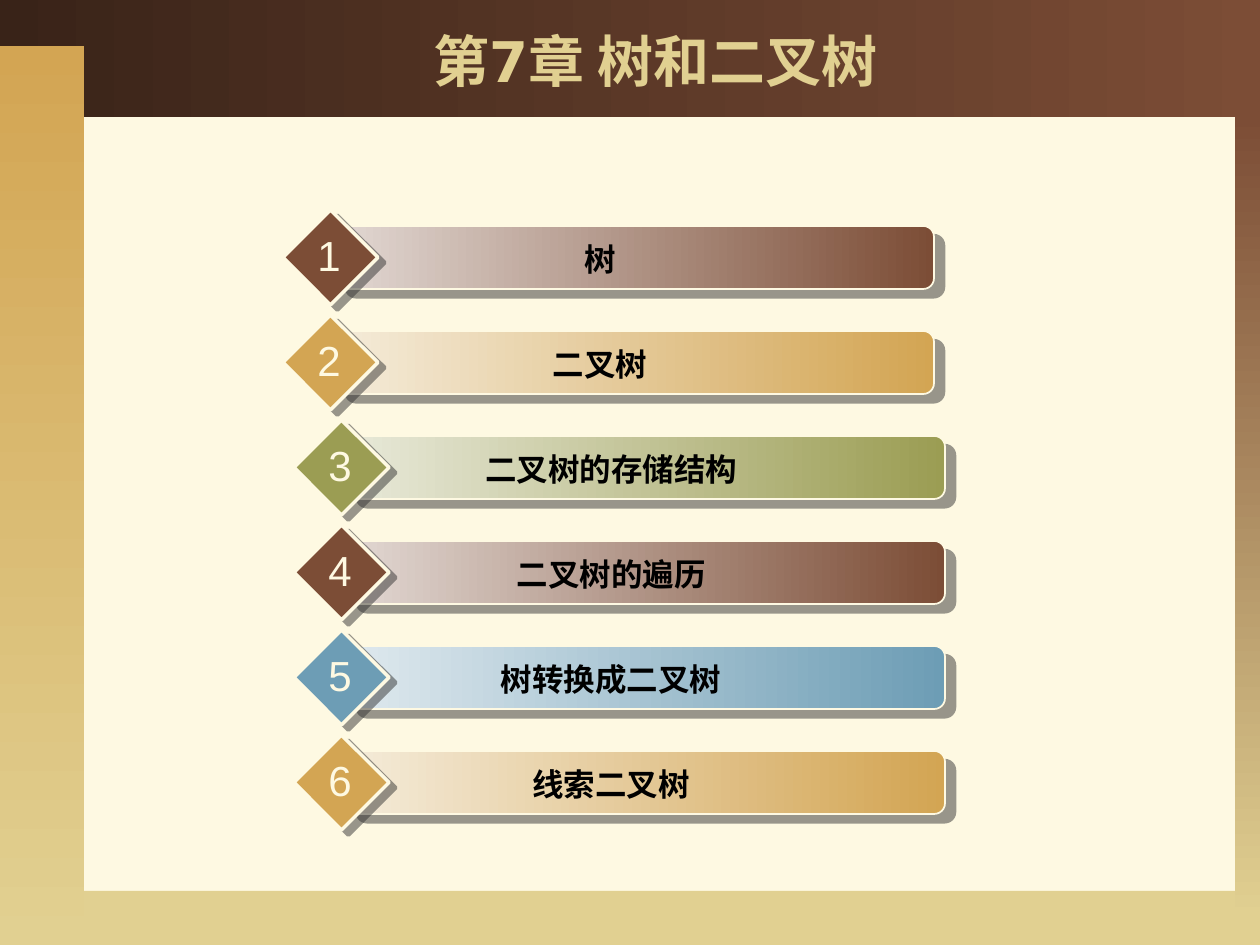
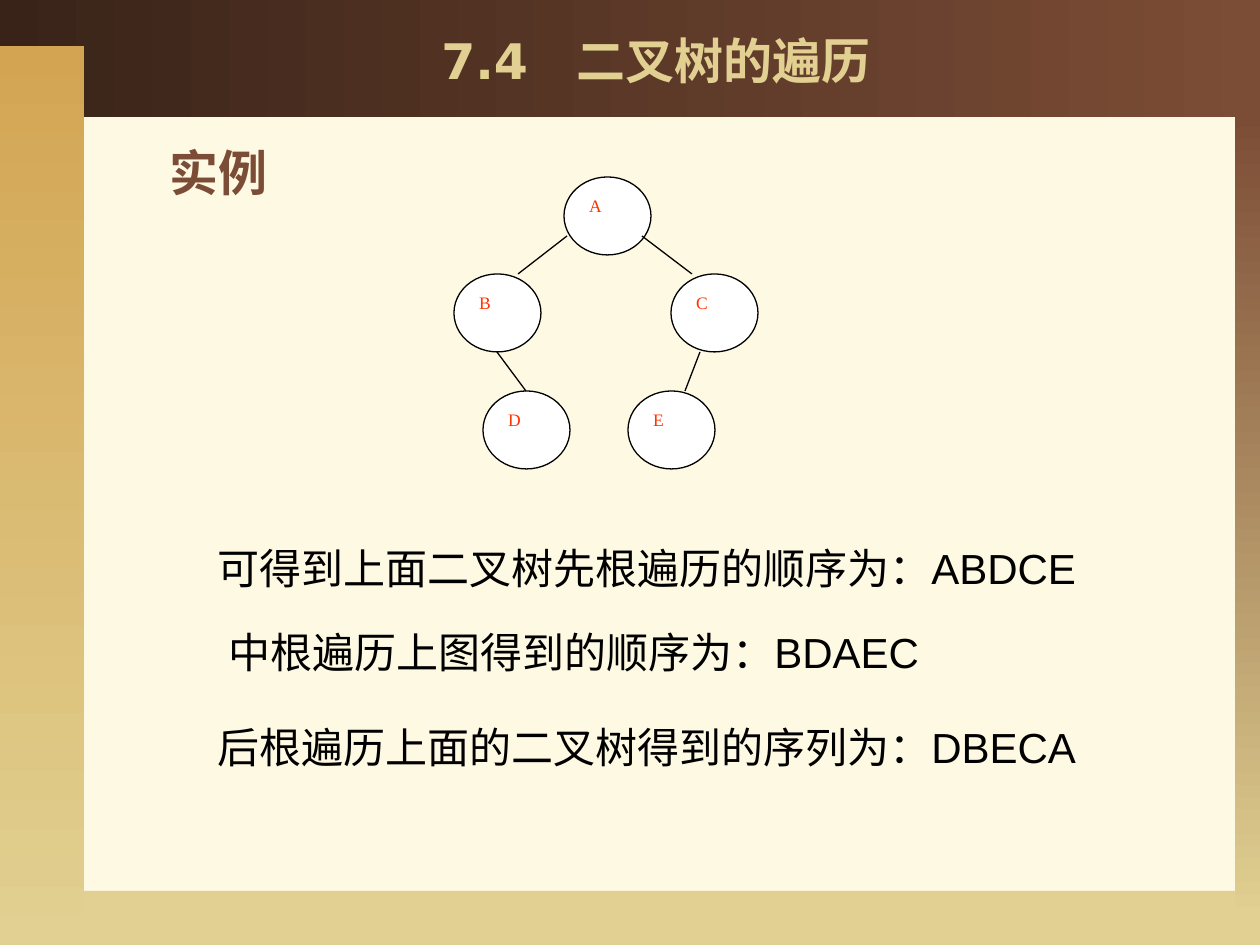
from dataclasses import dataclass
from typing import NamedTuple, Optional, Union

from lxml import etree
from pptx import Presentation
from pptx import util as u
from pptx.dml.color import RGBColor
from pptx.enum import lang, shapes, text
from pptx.oxml.ns import qn

PX = 914400 / 126
SLIDE_WIDTH, SLIDE_HEIGHT = 1260, 945

CREAM = RGBColor(0xFE, 0xF9, 0xE2)
SAND = RGBColor(0xE1, 0xD0, 0x91)
BROWN = RGBColor(0x7C, 0x4D, 0x36)
DARK_BROWN = RGBColor(0x39, 0x23, 0x18)
PALE_BROWN = RGBColor(0xE2, 0xD8, 0xD3)
GOLD = RGBColor(0xD3, 0xA5, 0x53)
PALE_GOLD = RGBColor(0xF4, 0xEB, 0xD9)
OLIVE = RGBColor(0x9B, 0x9D, 0x53)
PALE_OLIVE = RGBColor(0xE8, 0xE9, 0xD9)
BLUE = RGBColor(0x6D, 0x9D, 0xB5)
PALE_BLUE = RGBColor(0xDF, 0xE9, 0xEE)
RED = RGBColor(0xFF, 0x33, 0x00)
WHITE = RGBColor(0xFF, 0xFF, 0xFF)
BLACK = RGBColor(0, 0, 0)

CENTER = text.PP_ALIGN.CENTER
MIDDLE = text.MSO_ANCHOR.MIDDLE


class Box(NamedTuple):
    left: int
    top: int
    width: int
    height: int


class Gradient(NamedTuple):
    start: RGBColor
    end: RGBColor
    angle: int


class Outline(NamedTuple):
    color: RGBColor
    points: float


class Shadow(NamedTuple):
    points: float
    degrees: int


@dataclass(frozen=True)
class Style:
    size: int
    color: RGBColor = BLACK
    font: str = "Arial"
    bold: bool = False
    align: text.PP_ALIGN = text.PP_ALIGN.LEFT


@dataclass(frozen=True)
class Band:
    box: Box
    fill: Union[RGBColor, Gradient]


@dataclass(frozen=True)
class Chapter:
    topic: str
    color: RGBColor
    pale: RGBColor
    left: int = 294


@dataclass(frozen=True)
class Node:
    letter: str
    left: int
    top: int


class Edge(NamedTuple):
    x1: int
    y1: int
    x2: int
    y2: int


class Traversal(NamedTuple):
    sentence: str
    left: int
    top: int


BANDS = (
    Band(Box(84, 891, 1176, 54), SAND),
    Band(Box(0, 0, 1260, 117), Gradient(BROWN, DARK_BROWN, 180)),
    Band(Box(0, 46, 84, 899), Gradient(GOLD, SAND, 270)),
    Band(Box(1235, 115, 25, 804), Gradient(BROWN, SAND, 270)),
)
TITLE_BOX = Box(84, 21, 1144, 78)

CHAPTERS = (
    Chapter("树", BROWN, PALE_BROWN, 283),
    Chapter("二叉树", GOLD, PALE_GOLD, 283),
    Chapter("二叉树的存储结构", OLIVE, PALE_OLIVE),
    Chapter("二叉树的遍历", BROWN, PALE_BROWN),
    Chapter("树转换成二叉树", BLUE, PALE_BLUE),
    Chapter("线索二叉树", GOLD, PALE_GOLD),
)
CHAPTERS_TOP, CHAPTER_PITCH = 210, 105
TOPIC = Style(18, bold=True, align=CENTER)
NUMBER = Style(24, CREAM, align=CENTER)

NODES = (
    Node("A", 564, 177),
    Node("B", 454, 274),
    Node("C", 671, 274),
    Node("D", 483, 391),
    Node("E", 628, 391),
)
EDGES = (
    Edge(700, 352, 685, 391),
    Edge(497, 352, 526, 391),
    Edge(567, 236, 518, 274),
    Edge(642, 236, 692, 274),
)
NODE_LETTER = Style(10, RED, "Times New Roman", align=text.PP_ALIGN.JUSTIFY)
TREE_LINE = Outline(BLACK, 0.75)

TRAVERSALS = (
    Traversal("可得到上面二叉树先根遍历的顺序为：ABDCE", 205, 536),
    Traversal("中根遍历上图得到的顺序为：BDAEC", 216, 620),
    Traversal("后根遍历上面的二叉树得到的序列为：DBECA", 205, 715),
)


def px(length: int) -> u.Emu:
    return u.Emu(round(length * PX))


def write(shape, words: str, style: Style) -> None:
    paragraph = shape.text_frame.paragraphs[0]
    paragraph.text = words
    paragraph.alignment = style.align
    for run in paragraph.runs:
        run.font.name = style.font
        run.font.size = u.Pt(style.size)
        run.font.bold = style.bold
        run.font.color.rgb = style.color
        run.font.language_id = lang.MSO_LANGUAGE_ID.SIMPLIFIED_CHINESE


def add_text(slide, box: Box, words: str, style: Style, wrap: bool = True,
             anchor: text.MSO_ANCHOR = text.MSO_ANCHOR.TOP):
    label = slide.shapes.add_textbox(*map(px, box))
    label.text_frame.word_wrap = wrap
    label.text_frame.vertical_anchor = anchor
    write(label, words, style)
    return label


def cast_shadow(shape, shadow: Shadow) -> None:
    effects = shape._element.spPr.find(qn("a:effectLst"))
    outer = etree.SubElement(
        effects, qn("a:outerShdw"), dist=str(u.Pt(shadow.points)),
        dir=str(shadow.degrees * 60000), algn="ctr", rotWithShape="0")
    color = etree.SubElement(outer, qn("a:srgbClr"), val="333333")
    etree.SubElement(color, qn("a:alpha"), val="50000")


def add_figure(slide, kind: shapes.MSO_SHAPE, box: Box,
               fill: Union[RGBColor, Gradient],
               outline: Optional[Outline] = None,
               shadow: Optional[Shadow] = None):
    figure = slide.shapes.add_shape(kind, *map(px, box))
    if isinstance(fill, Gradient):
        figure.fill.gradient()
        figure.fill.gradient_angle = fill.angle
        for stop, color in zip(figure.fill.gradient_stops, fill[:2]):
            stop.color.rgb = color
    else:
        figure.fill.solid()
        figure.fill.fore_color.rgb = fill
    if outline:
        figure.line.color.rgb = outline.color
        figure.line.width = u.Pt(outline.points)
    else:
        figure.line.fill.background()
    figure.shadow.inherit = False
    if shadow:
        cast_shadow(figure, shadow)
    return figure


def add_framed_slide(deck, title: str, title_size: int):
    slide = deck.slides.add_slide(deck.slide_layouts[6])
    slide.background.fill.solid()
    slide.background.fill.fore_color.rgb = CREAM
    for band in BANDS:
        add_figure(slide, shapes.MSO_SHAPE.RECTANGLE, band.box, band.fill)
    style = Style(title_size, SAND, "DejaVu Sans", True, CENTER)
    add_text(slide, TITLE_BOX, title, style, anchor=MIDDLE)
    return slide


def draw_chapter(slide, index: int, chapter: Chapter) -> None:
    left, top = chapter.left, CHAPTERS_TOP + index * CHAPTER_PITCH
    bar = add_figure(slide, shapes.MSO_SHAPE.ROUNDED_RECTANGLE,
                     Box(left + 52, top + 16, 599, 63),
                     Gradient(chapter.color, chapter.pale, 180),
                     Outline(CREAM, 1), Shadow(7.8, 40))
    bar.adjustments[0] = 0.17
    add_figure(slide, shapes.MSO_SHAPE.DIAMOND, Box(left, top, 95, 95),
               chapter.color, Outline(CREAM, 2), Shadow(5, 37))
    add_text(slide, Box(left + 81, top + 24, 472, 50), chapter.topic, TOPIC)
    add_text(slide, Box(left + 22, top + 13, 48, 63), str(index + 1), NUMBER,
             wrap=False)


def draw_edge(slide, edge: Edge) -> None:
    branch = slide.shapes.add_connector(
        shapes.MSO_CONNECTOR.STRAIGHT, *map(px, edge))
    branch.line.color.rgb = TREE_LINE.color
    branch.line.width = u.Pt(TREE_LINE.points)
    etree.SubElement(branch._element.spPr, qn("a:effectLst"))


def draw_node(slide, node: Node) -> None:
    circle = add_figure(slide, shapes.MSO_SHAPE.OVAL,
                        Box(node.left, node.top, 87, 78), WHITE, TREE_LINE)
    circle.text_frame.vertical_anchor = text.MSO_ANCHOR.TOP
    write(circle, node.letter, NODE_LETTER)


def build_contents(deck) -> None:
    slide = add_framed_slide(deck, "第7章 树和二叉树", 32)
    for index, chapter in enumerate(CHAPTERS):
        draw_chapter(slide, index, chapter)


def build_traversal(deck) -> None:
    slide = add_framed_slide(deck, "7.4　二叉树的遍历", 28)
    heading = add_text(slide, Box(94, 136, 1124, 735), "实例",
                       Style(28, BROWN, "DejaVu Sans", True))
    paragraph = heading.text_frame.paragraphs[0]
    paragraph.space_before = u.Pt(7)
    paragraph._p.get_or_add_pPr().set("marL", str(px(63)))
    for node in NODES:
        draw_node(slide, node)
    for edge in EDGES:
        draw_edge(slide, edge)
    for traversal in TRAVERSALS:
        add_text(slide, Box(traversal.left, traversal.top, 910, 63),
                 traversal.sentence, Style(24), anchor=MIDDLE)


def main() -> None:
    deck = Presentation()
    deck.slide_width, deck.slide_height = px(SLIDE_WIDTH), px(SLIDE_HEIGHT)
    build_contents(deck)
    build_traversal(deck)
    deck.save("out.pptx")


if __name__ == "__main__":
    main()
